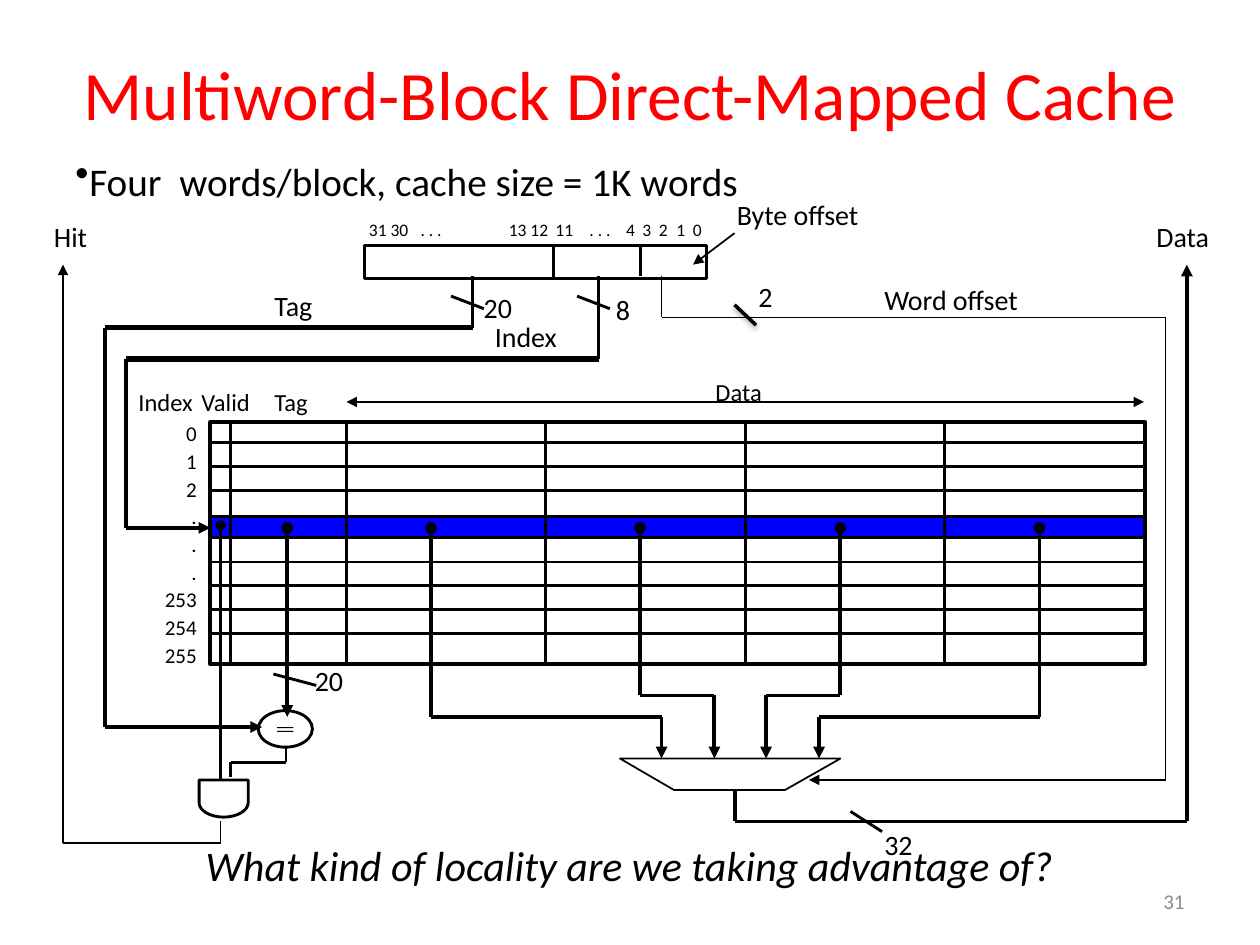
from dataclasses import dataclass
from math import cos, pi, sin
from typing import Any, NamedTuple, Optional

from lxml.etree import SubElement
from pptx import Presentation
from pptx.dml.color import RGBColor
from pptx.enum.shapes import MSO_CONNECTOR as Connector, MSO_SHAPE as Preset
from pptx.enum.text import MSO_ANCHOR as Anchor, MSO_AUTO_SIZE as AutoSize, PP_ALIGN as Align
from pptx.oxml.ns import qn
from pptx.util import Cm, Pt

Point = tuple[float, float]


@dataclass(frozen=True)
class Theme:
    font: str = "Calibri"
    black: RGBColor = RGBColor(0, 0, 0)
    red: RGBColor = RGBColor(255, 0, 0)
    blue: RGBColor = RGBColor(0, 0, 255)
    grey: RGBColor = RGBColor(0x8C, 0x8C, 0x8C)
    title: float = 39.6
    body: float = 22.4
    question: float = 24
    label: float = 16
    heading: float = 14
    small: float = 12
    bits: float = 10
    thin: float = 1
    medium: float = 1.63
    thick: float = 2.25
    heavy: float = 3


THEME = Theme()


class Label(NamedTuple):
    text: str
    left: float
    top: float
    width: float
    height: float = 0.37
    size: float = THEME.label
    color: RGBColor = THEME.black
    wrap: bool = False
    italic: bool = False
    anchor: Anchor = Anchor.TOP
    format: dict[str, Any] = {}


class Wire(NamedTuple):
    points: list[Point]
    width: float = THEME.thick
    head: Optional[str] = None
    tail: Optional[str] = None


class Box(NamedTuple):
    left: float
    top: float
    width: float
    height: float
    preset: Preset = Preset.RECTANGLE
    fill: Optional[RGBColor] = None
    line: Optional[float] = THEME.medium


def inch(value: float) -> Cm:
    return Cm(value * 2.54)


def set_all(target: Any, values: dict[str, Any]) -> None:
    for name, value in values.items():
        setattr(target, name, value)


def add_label(slide: Any, label: Label) -> Any:
    shape = slide.shapes.add_textbox(*map(inch, label[1:5]))
    set_all(shape.text_frame, {
        "word_wrap": label.wrap, "vertical_anchor": label.anchor,
        "auto_size": AutoSize.NONE if label.wrap else AutoSize.SHAPE_TO_FIT_TEXT,
    })
    shape.text_frame.text = label.text
    for paragraph in shape.text_frame.paragraphs:
        set_all(paragraph, label.format)
        for run in paragraph.runs:
            set_all(run.font, {"name": THEME.font, "size": Pt(label.size), "italic": label.italic})
            run.font.color.rgb = label.color
    return shape.text_frame.paragraphs[0]._p.get_or_add_pPr()


def add_wire(slide: Any, wire: Wire) -> Any:
    last = len(wire.points) - 2
    for index, (start, end) in enumerate(zip(wire.points, wire.points[1:])):
        shape = slide.shapes.add_connector(Connector.STRAIGHT, *map(inch, (*start, *end)))
        shape.line.width = Pt(wire.width)
        shape.line.color.rgb = THEME.black
        outline = shape.line._get_or_add_ln()
        for tag, kind, position in (("a:headEnd", wire.head, 0), ("a:tailEnd", wire.tail, last)):
            if kind and index == position:
                SubElement(outline, qn(tag), type=kind)
        effects = SubElement(shape._element.spPr, qn("a:effectLst"))
    return effects


def paint(shape: Any, fill: Optional[RGBColor], line: Optional[float]) -> None:
    shape.shadow.inherit = False
    if fill is None:
        shape.fill.background()
    else:
        shape.fill.solid()
        shape.fill.fore_color.rgb = fill
    if line is None:
        shape.line.fill.background()
    else:
        shape.line.color.rgb = THEME.black
        shape.line.width = Pt(line)


def add_box(slide: Any, box: Box) -> None:
    paint(slide.shapes.add_shape(box.preset, *map(inch, box[:4])), box.fill, box.line)


def add_outline(slide: Any, points: list[Point], width: float) -> None:
    corners = [(inch(x), inch(y)) for x, y in points]
    builder = slide.shapes.build_freeform(*corners[0])
    builder.add_line_segments(corners[1:], close=True)
    paint(builder.convert_to_shape(), None, width)


def add_slash(slide: Any, x: float, y: float, width: float = 0.26, height: float = 0.1) -> None:
    add_wire(slide, Wire([(x, y), (x + width, y + height)], THEME.medium))


def add_cache_table(slide: Any) -> None:
    left, top, right, bottom = 1.67, 3.35, 9.09, 5.27
    add_box(slide, Box(left, 4.1, right - left, 0.17, fill=THEME.blue))
    add_box(slide, Box(left, top, right - left, bottom - top, line=THEME.thick))
    for first, count in ((3.51, 3), (4.46, 4)):
        for row in range(count):
            y = first + 0.19 * row
            add_wire(slide, Wire([(left, y), (right, y)], THEME.medium))
    for x in [1.83] + [2.75 + 1.583 * column for column in range(4)]:
        add_wire(slide, Wire([(x, top), (x, bottom)], THEME.medium))


def add_bit_ruler(slide: Any) -> None:
    text = "31 30\t. . .\t13 12\t11\t. . .\t4\t3\t2\t1\t0"
    properties = add_label(slide, Label(text, 2.83, 1.69, 3.35, 0.27, THEME.bits, wrap=True))
    stops = SubElement(properties, qn("a:tabLst"))
    for stop in (0.41, 1.11, 1.48, 1.75, 2.04, 2.17, 2.3, 2.44, 2.57):
        SubElement(stops, qn("a:tab"), pos=str(inch(stop)), algn="l")


def add_shadowed_slash(slide: Any) -> None:
    effects = add_wire(slide, Wire([(5.83, 2.42), (6, 2.58)], 2))
    shadow = SubElement(effects, qn("a:outerShdw"), blurRad=str(Pt(3.1)), dist=str(Pt(1.6)), dir="5400000")
    color = SubElement(shadow, qn("a:srgbClr"), val=str(THEME.black))
    SubElement(color, qn("a:alpha"), val="38000")


LABELS = [
    Label("Multiword-Block Direct-Mapped Cache", 0.5, 0.25, 9, 0.97, THEME.title, THEME.red, True,
          anchor=Anchor.MIDDLE, format={"alignment": Align.CENTER}),
    Label("What kind of locality are we taking advantage of?", 0.58, 6.66, 8.83, 0.5, THEME.question,
          wrap=True, italic=True, format={"alignment": Align.CENTER, "line_spacing": 0.9}),
    Label("31", 7.17, 6.95, 2.33, 0.4, THEME.small, THEME.grey, True, anchor=Anchor.MIDDLE,
          format={"alignment": Align.RIGHT}),
    Label("\n".join(["0", "1", "2", ".", ".", ".", "253", "254", "255"]), 1.18, 3.27, 0.48, 2.09,
          THEME.small, format={"alignment": Align.RIGHT, "line_spacing": 1.1}),
    Label("Data", 5.58, 2.94, 0.61, 0.33, THEME.heading),
    Label("Index", 1, 3.02, 0.68, 0.33, THEME.heading),
    Label("Valid", 1.5, 3.02, 0.63, 0.33, THEME.heading),
    Label("Tag", 2.08, 3.02, 0.53, 0.33, THEME.heading),
    Label("8", 4.79, 2.27, 0.33),
    Label("Index", 3.83, 2.49, 0.74),
    Label("2", 5.92, 2.17, 0.32),
    Label("Byte offset", 5.75, 1.52, 1.5, wrap=True),
    Label("20", 2.4, 5.22, 0.45),
    Label("20", 3.74, 2.26, 0.45),
    Label("Tag", 2.08, 2.24, 0.58),
    Label("Hit", 0.33, 1.69, 0.47),
    Label("Data", 9.08, 1.69, 0.67),
    Label("32", 6.92, 6.52, 0.45),
    Label("Word offset", 6.92, 2.19, 1.75, wrap=True),
]

WIRES = [
    Wire([(4.75, 2.19), (4.75, 2.85)]),
    Wire([(1, 2.85), (4.75, 2.85)], THEME.heavy),
    Wire([(1, 2.85), (1, 4.19), (1.67, 4.19)], tail="triangle"),
    Wire([(3.75, 2.19), (3.75, 2.6)]),
    Wire([(0.83, 2.6), (3.75, 2.6)], THEME.heavy),
    Wire([(0.83, 2.6), (0.83, 5.77), (2.08, 5.77)], tail="triangle"),
    Wire([(2.75, 3.19), (9.08, 3.19)], THEME.thin, "triangle", "triangle"),
    Wire([(4.39, 2.21), (4.39, 1.95)], THEME.medium),
    Wire([(5.08, 2.19), (5.08, 1.95)], THEME.medium),
    Wire([(5.83, 1.85), (5.5, 2.1)], THEME.thin, tail="triangle"),
    Wire([(2.28, 4.19), (2.28, 5.69)], head="oval", tail="triangle"),
    Wire([(1.75, 4.17), (1.75, 6.19)], THEME.medium, head="oval"),
    Wire([(2.27, 5.93), (2.27, 6.05), (1.83, 6.05), (1.83, 6.17)], THEME.medium),
    Wire([(1.75, 6.52), (1.75, 6.69), (0.5, 6.69), (0.5, 2.1)], THEME.thin, tail="triangle"),
    Wire([(5.25, 2.19), (5.25, 2.52), (9.25, 2.52), (9.25, 6.19), (6.42, 6.19)], THEME.thin, tail="triangle"),
    Wire([(5.83, 6.27), (5.83, 6.52), (9.42, 6.52), (9.42, 2.1)], tail="triangle"),
] + [
    Wire([(word, 4.19), (word, bend), (port, bend), (port, 6.02)], head="oval", tail="triangle")
    for word, bend, port in ((3.42, 5.69, 5.25), (5.08, 5.52, 5.67), (6.67, 5.52, 6.08), (8.25, 5.69, 6.5))
]

BOXES = [
    Box(2.89, 1.95, 2.72, 0.26),
    Box(2.05, 5.64, 0.43, 0.29, Preset.OVAL),
    Box(2.2, 5.77, 0.13, 0.01, fill=THEME.black, line=None),
    Box(2.2, 5.8, 0.13, 0.01, fill=THEME.black, line=None),
]


def main() -> None:
    presentation = Presentation()
    set_all(presentation, {"slide_width": inch(10), "slide_height": inch(7.5)})
    slide = presentation.slides.add_slide(presentation.slide_layouts[6])
    bullet = add_label(slide, Label(
        "Four  words/block, cache size = 1K words", 0.5, 1.33, 8.83, 0.58, THEME.body, wrap=True,
        format={"line_spacing": 0.6, "space_before": Pt(4)}))
    set_all(bullet, {"marL": inch(0.38), "indent": -inch(0.38)})
    SubElement(bullet, qn("a:buChar"), char="•")
    add_cache_table(slide)
    for box in BOXES:
        add_box(slide, box)
    arc = [(1.775 + 0.195 * cos(pi * step / 16), 6.37 + 0.115 * sin(pi * step / 16)) for step in range(17)]
    add_outline(slide, [(1.58, 6.19), (1.97, 6.19)] + arc, THEME.medium)
    add_outline(slide, [(4.92, 6.02), (5.35, 6.27), (6.23, 6.27), (6.67, 6.02)], THEME.thin)
    for wire in WIRES:
        add_wire(slide, wire)
    for x in (3.58, 4.58):
        add_slash(slide, x, 2.35)
    add_slash(slide, 2.17, 5.35, 0.34, 0.09)
    add_slash(slide, 6.75, 6.44, 0.25, 0.16)
    add_bit_ruler(slide)
    for label in LABELS:
        add_label(slide, label)
    add_shadowed_slash(slide)
    presentation.save("out.pptx")


if __name__ == "__main__":
    main()
